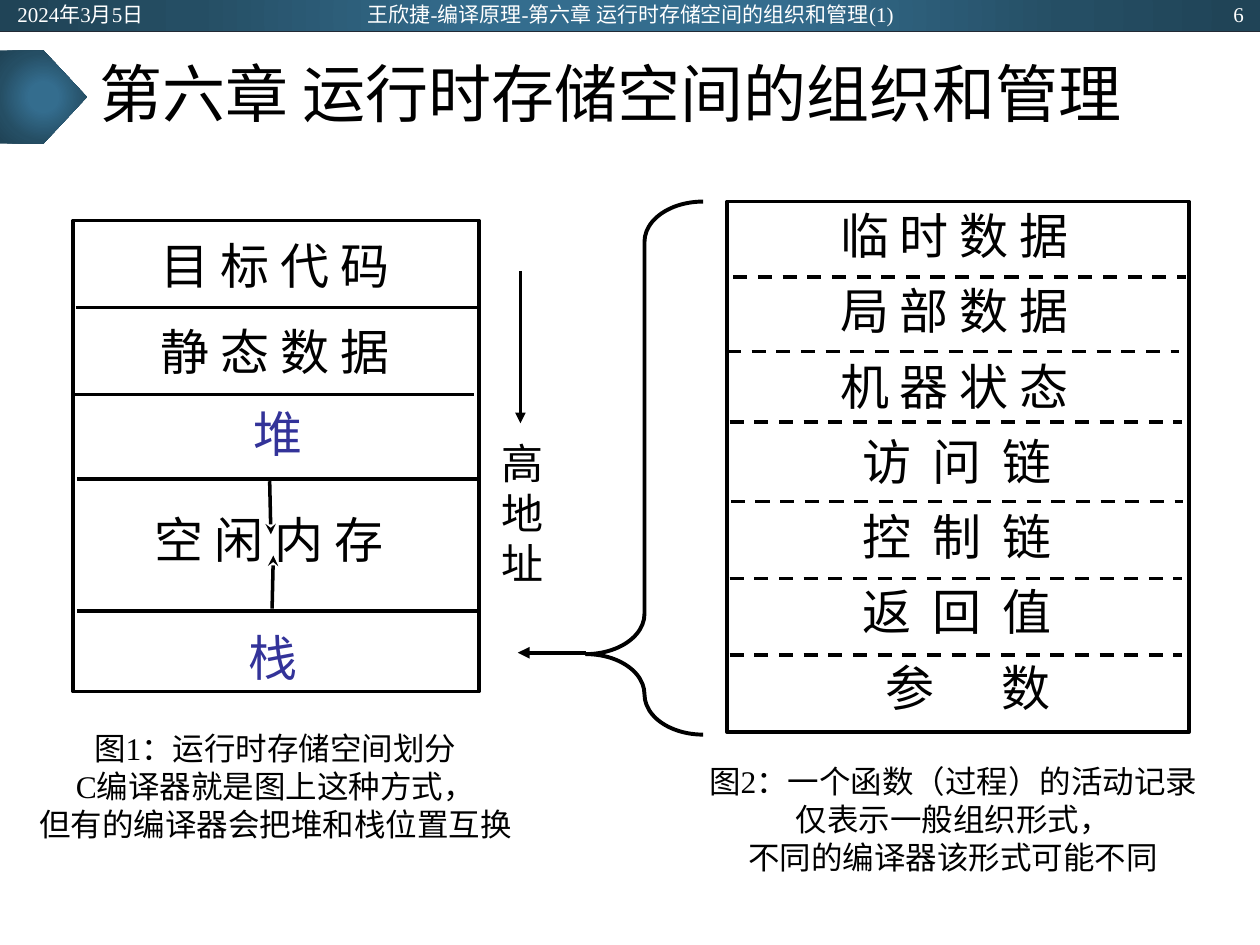
"""Build the slide on run-time storage organisation and activation records."""
import pptx
import pptx.util
import pptx.dml.color
import pptx.enum.dml
import pptx.enum.shapes
import pptx.enum.text
import pptx.oxml
import pptx.oxml.ns

Pt = pptx.util.Pt
SHAPE = pptx.enum.shapes.MSO_SHAPE
ANCHOR = pptx.enum.text.MSO_ANCHOR
ALIGN = pptx.enum.text.PP_ALIGN
rgb = pptx.dml.color.RGBColor.from_string
NS = pptx.oxml.ns.nsdecls("a")
SERIF, SANS = "Times New Roman", "Noto Sans CJK SC"


def add_text(text, box, sp=None, size=28, font=SERIF, color="000000", align=ALIGN.CENTER,
             anchor=ANCHOR.TOP, wrap=True, insets=(7.2, 3.6), spread=0, spacing=None):
    sp = sp or slide.shapes.add_textbox(0, 0, 0, 0)
    sp.left, sp.top, sp.width, sp.height = map(Pt, box)
    tf = sp.text_frame
    tf.word_wrap, tf.vertical_anchor = wrap, anchor
    tf.margin_left = tf.margin_right = Pt(insets[0])
    tf.margin_top, tf.margin_bottom = Pt(insets[1]), Pt(3.6)
    for i, line in enumerate(text.split("\n")):
        p = tf.paragraphs[0] if i == 0 else tf.add_paragraph()
        p.alignment, p.line_spacing = align, spacing
        r = p.add_run()
        r.text = line
        r.font.size, r.font.name = Pt(size), font
        r.font.color.rgb = rgb(color)
        if spread:
            r.font._element.set("spc", str(spread * 100))


def add_line(x1, y1, x2, y2, width=2, color="000000", dashed=False, head=None):
    line = slide.shapes.add_connector(
        pptx.enum.shapes.MSO_CONNECTOR.STRAIGHT, Pt(x1), Pt(y1), Pt(x2), Pt(y2))
    line.line.width = Pt(width)
    line.line.color.rgb = rgb(color)
    if dashed:
        line.line.dash_style = pptx.enum.dml.MSO_LINE.DASH
    if head:
        line.line._get_or_add_ln().append(
            pptx.oxml.parse_xml(f'<a:tailEnd {NS} type="{head}"/>'))
    line._element.spPr.append(pptx.oxml.parse_xml(f"<a:effectLst {NS}/>"))


prs = pptx.Presentation()
prs.slide_width, prs.slide_height = Pt(720), Pt(540)
slide = prs.slides.add_slide(prs.slide_layouts[5])

stops = "".join(
    f'<a:gs pos="{pos}000"><a:srgbClr val="{color}"/></a:gs>'
    for pos, color in [(0, "346D8E"), (23, "346D8E"), (69, "254E64"), (97, "204457")])
gradient = (f'<a:gradFill {NS}><a:gsLst>{stops}</a:gsLst><a:path path="circle">'
            '<a:fillToRect l="50000" t="50000" r="50000" b="50000"/></a:path></a:gradFill>')
for kind, box in [(SHAPE.RECTANGLE, (0, 0, 720, 18)), (SHAPE.PENTAGON, (0, 28.8, 49.7, 53.3))]:
    sp = slide.shapes.add_shape(kind, *map(Pt, box))
    sp.shadow.inherit = False
    sp.line.fill.background()
    sp.fill.background()
    no_fill = sp._element.spPr.find(pptx.oxml.ns.qn("a:noFill"))
    sp._element.spPr.replace(no_fill, pptx.oxml.parse_xml(gradient))
add_line(0, 18, 720, 18, width=0.5, color="222A35")

add_text("第六章 运行时存储空间的组织和管理", (49.7, 18, 620.6, 75), sp=slide.shapes.title,
         size=36, align=ALIGN.LEFT, anchor=ANCHOR.MIDDLE, spacing=0.9)
for text, box, align in [
        ("2024年3月5日", (2.9, 0.7, 162, 14.4), ALIGN.LEFT),
        ("王欣捷-编译原理-第六章 运行时存储空间的组织和管理(1)", (180.7, -2.2, 359.3, 20.2), ALIGN.CENTER),
        ("6", (555.8, 0.7, 162, 14.4), ALIGN.RIGHT)]:
    add_text(text, box, size=12, color="FFFFFF", align=align, anchor=ANCHOR.MIDDLE)

for kind, box, width in [
        (SHAPE.RECTANGLE, (41.8, 126, 231.8, 269.3), 2),
        (SHAPE.RECTANGLE, (415.4, 115.2, 264.2, 303.1), 2),
        (SHAPE.LEFT_BRACE, (334.8, 115.2, 67, 304.6), 2.25)]:
    sp = slide.shapes.add_shape(kind, *map(Pt, box))
    sp.shadow.inherit = False
    sp.fill.background()
    sp.line.width = Pt(width)
    sp.line.color.rgb = rgb("000000")
sp.adjustments[0], sp.adjustments[1] = 0.487, 0.849

for text, x, y, font, color in [
        ("目 标 代 码", 46.8, 128.2, SANS, "000000"),
        ("静 态 数 据", 46.8, 177.1, SANS, "000000"),
        ("堆", 48.2, 223.9, SERIF, "333399"),
        ("空 闲 内 存", 43.2, 284.4, SANS, "000000"),
        ("栈", 45.4, 352.1, SERIF, "333399")]:
    add_text(text, (x, y, 221, 42.5), font=font, color=color, insets=(7.2, 6.5))
for x, y in [(43.2, 175.7), (41, 225.4), (43.9, 273.6), (43.9, 349.2)]:
    add_line(x, y, x + 230, y)

fields = [("临 时 数 据", 0), ("局 部 数 据", 0), ("机 器 状 态", 0), ("访 问 链", 3),
          ("控 制 链", 3), ("返 回 值", 3), ("参 数", 16)]
for i, (text, spread) in enumerate(fields):
    add_text(text, (421.5 + spread / 2, 106.6 + 43 * i, 247.7, 52.6), font=SANS,
             anchor=ANCHOR.MIDDLE, insets=(7.2, 6.5), spread=spread)
for x, y in [(419, 158.4), (415.4, 200.9), (417, 241.2), (417.6, 286.6), (417, 330.5), (417, 374.4)]:
    add_line(x, y, x + 258.5, y, dashed=True)

add_line(154.1, 275, 154.8, 305.3, head="stealth")
add_line(155.5, 347.8, 156.2, 317.5, head="stealth")
add_line(297.4, 154.8, 297.4, 241.9, head="triangle")
add_line(334.8, 373, 295.9, 373, width=2.25, head="triangle")

add_text("高\n地\n址", (279.4, 246.2, 38.9, 94.3), size=24, align=ALIGN.LEFT, wrap=False)
add_text("图1：运行时存储空间划分\nC编译器就是图上这种方式，\n但有的编译器会把堆和栈位置互换",
         (13.7, 413.3, 287.3, 72.7), size=18, wrap=False)
add_text("图2：一个函数（过程）的活动记录\n仅表示一般组织形式，\n不同的编译器该形式可能不同",
         (396.7, 432, 295.9, 72.7), size=18)

prs.save("out.pptx")
